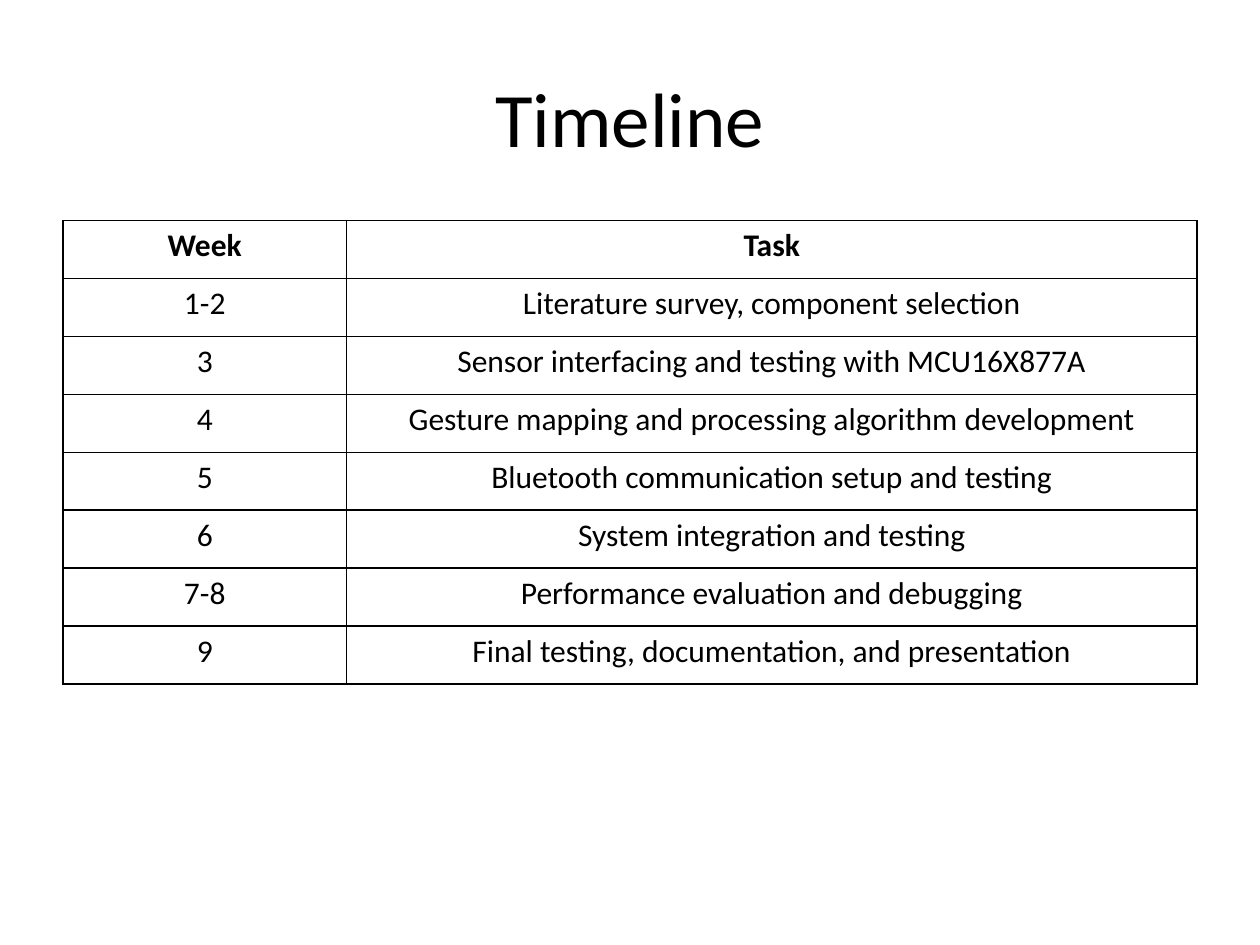
"""Build the project timeline slide with its week-by-week task table."""
from dataclasses import dataclass

from lxml.etree import SubElement
from pptx import Presentation
from pptx.dml.color import RGBColor
from pptx.enum.text import MSO_ANCHOR, PP_ALIGN
from pptx.oxml.ns import qn
from pptx.util import Inches, Pt


@dataclass(frozen=True)
class Theme:
    font: str = "Calibri"
    ink: str = "000000"
    title_size: int = 44
    table_size: int = 18
    border_width: int = 1


class SlideBuilder:
    def __init__(self, slide, theme):
        self.slide = slide
        self.theme = theme

    def label(self, frame, wording, size, bold=False):
        paragraph = frame.paragraphs[0]
        paragraph.alignment = PP_ALIGN.CENTER
        run = paragraph.add_run()
        run.text = wording
        formats = {"name": self.theme.font, "size": Pt(size), "bold": bold}
        for attribute, value in formats.items():
            setattr(run.font, attribute, value)
        run.font.color.rgb = RGBColor.from_string(self.theme.ink)

    def title(self, wording, left, top, width, height):
        frame = self.slide.shapes.add_textbox(
            Inches(left), Inches(top), Inches(width), Inches(height)
        ).text_frame
        formats = {"word_wrap": True, "vertical_anchor": MSO_ANCHOR.MIDDLE}
        for attribute, value in formats.items():
            setattr(frame, attribute, value)
        self.label(frame, wording, self.theme.title_size)

    def border(self, cell):
        properties = cell._tc.get_or_add_tcPr()
        for position, side in enumerate(("lnL", "lnR", "lnT", "lnB")):
            line = SubElement(properties, qn(f"a:{side}"), w=str(Pt(self.theme.border_width)))
            fill = SubElement(line, qn("a:solidFill"))
            SubElement(fill, qn("a:srgbClr"), val=self.theme.ink)
            properties.insert(position, line)

    def table(self, rows, left, top, column_widths, row_height):
        table = self.slide.shapes.add_table(
            len(rows), len(column_widths), Inches(left), Inches(top),
            Inches(sum(column_widths)), Inches(row_height * len(rows)),
        ).table
        table.horz_banding = False
        for column, width in zip(table.columns, column_widths):
            column.width = Inches(width)
        for row_index, (row, wordings) in enumerate(zip(table.rows, rows)):
            row.height = Inches(row_height)
            for cell, wording in zip(row.cells, wordings):
                cell.fill.background()
                self.border(cell)
                self.label(cell.text_frame, wording, self.theme.table_size, row_index == 0)


SCHEDULE = [
    ("Week", "Task"),
    ("1-2", "Literature survey, component selection"),
    ("3", "Sensor interfacing and testing with MCU16X877A"),
    ("4", "Gesture mapping and processing algorithm development"),
    ("5", "Bluetooth communication setup and testing"),
    ("6", "System integration and testing"),
    ("7-8", "Performance evaluation and debugging"),
    ("9", "Final testing, documentation, and presentation"),
]


def main():
    presentation = Presentation()
    presentation.slide_width = Inches(10)
    presentation.slide_height = Inches(7.5)
    slide = presentation.slides.add_slide(presentation.slide_layouts[6])
    builder = SlideBuilder(slide, Theme())
    builder.title("Timeline", 0.5, 0.3, 9, 1.25)
    builder.table(SCHEDULE, 0.5, 1.75, (2.25, 6.75), 0.46)
    presentation.save("out.pptx")


if __name__ == "__main__":
    main()
